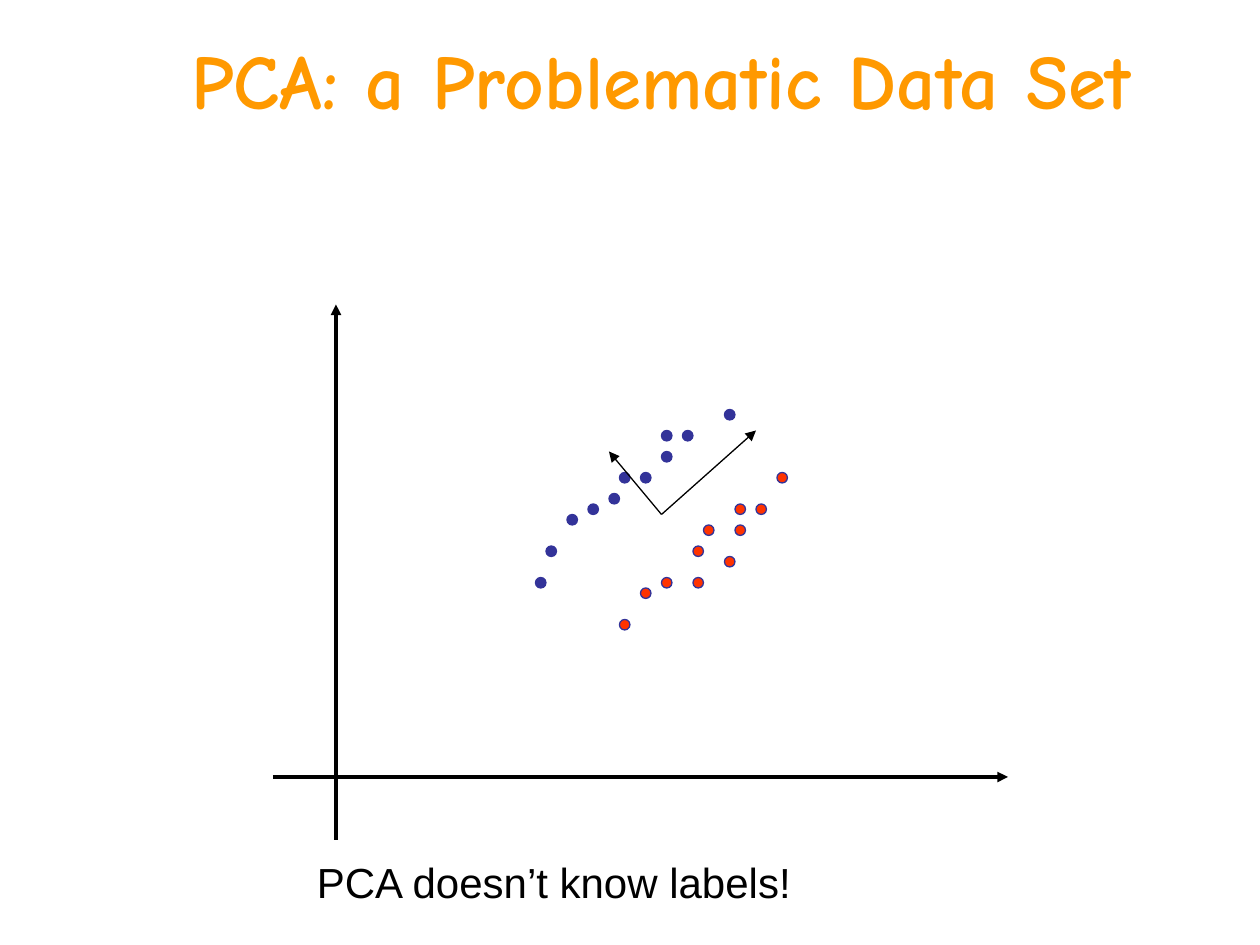
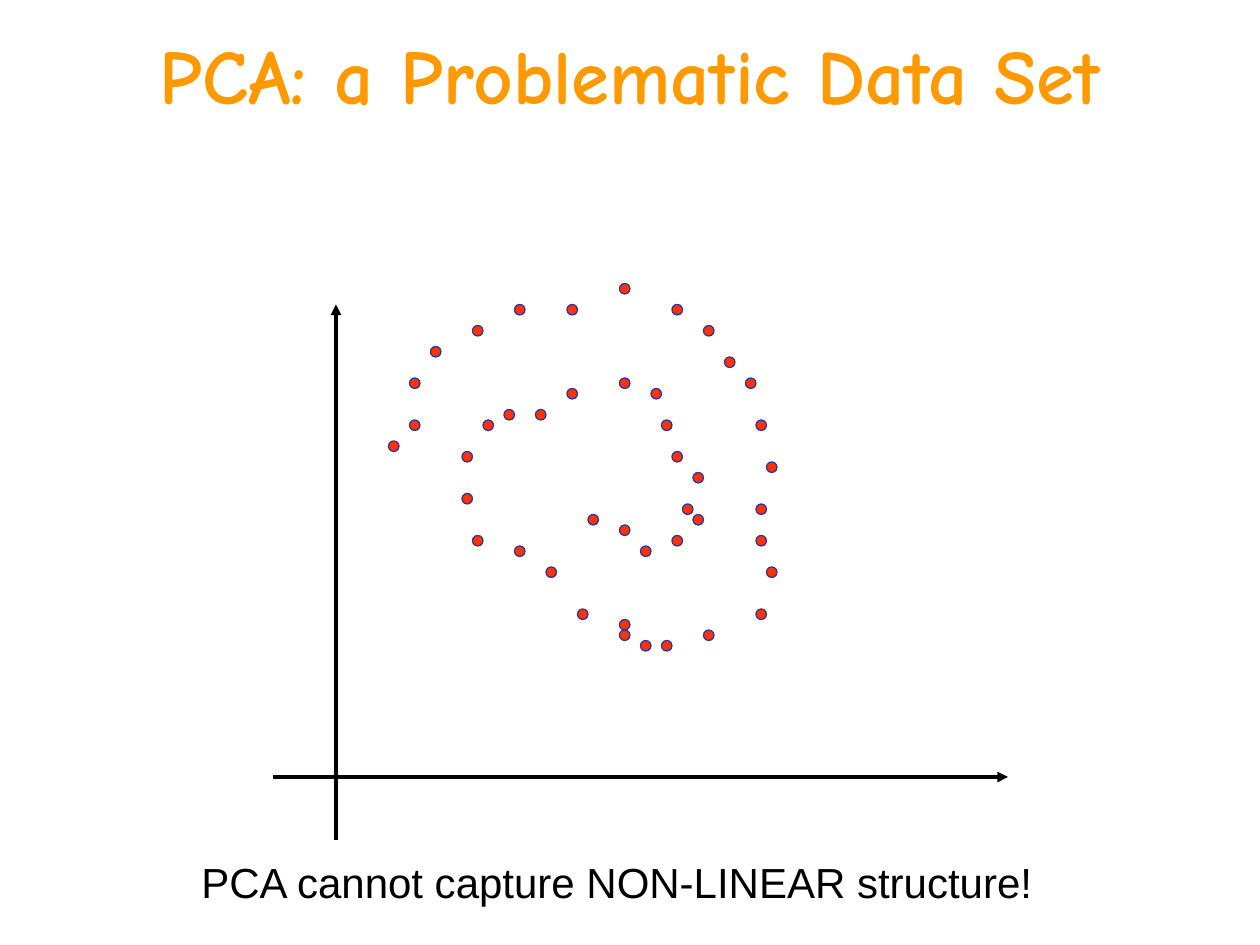
from pptx import Presentation
from pptx.dml.color import RGBColor
from pptx.enum.shapes import MSO_CONNECTOR, MSO_SHAPE
from pptx.enum.text import MSO_ANCHOR, MSO_AUTO_SIZE, PP_ALIGN
from pptx.oxml.ns import qn
from pptx.util import Inches, Pt
from lxml.etree import SubElement

# All positions are (column, row) on a grid of 1/12 inch.
COLS, ROWS = 120, 90
ORANGE, BLUE, RED, BLACK = "FF9900", "333399", "FF3300", "000000"
TITLE_FONT, BODY_FONT = "Comic Neue", "Arial"

AXES = [((32, 80), (32, 29)), ((26, 74), (96, 74))]

BLUE_CLASS = [(51, 55), (52, 52), (54, 49), (56, 48), (58, 47), (59, 45),
              (61, 45), (63, 43), (63, 41), (65, 41), (69, 39)]
RED_CLASS = [(59, 59), (61, 56), (63, 55), (66, 55), (66, 52), (69, 53),
             (67, 50), (70, 50), (70, 48), (72, 48), (74, 45)]
# Listed from the outer end of the spiral to its centre
SPIRAL = [(37, 42), (39, 40), (39, 36), (41, 33), (45, 31), (49, 29),
          (54, 29), (59, 27), (64, 29), (67, 31), (69, 34), (71, 36),
          (72, 40), (73, 44), (72, 48), (72, 51), (73, 54), (72, 58),
          (67, 60), (63, 61), (61, 61), (59, 60), (59, 59), (55, 58),
          (52, 54), (49, 52), (45, 51), (44, 47), (44, 43), (46, 40),
          (48, 39), (51, 39), (54, 37), (59, 36), (62, 37), (63, 40),
          (64, 43), (66, 45), (65, 48), (66, 49), (64, 51), (61, 52),
          (59, 50), (56, 49)]

SLIDES = [
    {"title": "PCA: a Problematic Data Set", "title_box": (9, 2, 108, 11),
     "caption": "PCA doesn’t know labels!", "caption_box": (29, 81, 69, 6),
     "points": [(BLUE, BLUE_CLASS), (RED, RED_CLASS)],
     "components": [((63, 49), (72, 41)), ((63, 49), (58, 43))]},
    {"title": "PCA: a Problematic Data Set", "title_box": (6, 1, 108, 12),
     "caption": "PCA cannot capture NON-LINEAR structure!",
     "caption_box": (18, 81, 90, 6),
     "points": [(RED, SPIRAL)],
     "components": []},
]


def grid(*cells):
    return [Inches(c / 12) for c in cells]


def rgb(color):
    return RGBColor.from_string(color)


def write(tf, text, font, size, color, bold=False):
    tf.word_wrap = True
    tf.text = text
    f = tf.paragraphs[0].runs[0].font
    f.name, f.size, f.bold = font, Pt(size), bold
    f.color.rgb = rgb(color)


def add_title(s, text, box):
    sp = s.shapes.title
    sp.left, sp.top, sp.width, sp.height = grid(*box)
    tf = sp.text_frame
    write(tf, text, TITLE_FONT, 44, ORANGE, bold=True)
    tf.auto_size = MSO_AUTO_SIZE.NONE
    tf.vertical_anchor = MSO_ANCHOR.MIDDLE
    tf.paragraphs[0].alignment = PP_ALIGN.CENTER


def add_caption(s, text, box):
    tf = s.shapes.add_textbox(*grid(*box)).text_frame
    write(tf, text, BODY_FONT, 24, BLACK)
    tf.auto_size = MSO_AUTO_SIZE.SHAPE_TO_FIT_TEXT


def add_arrow(s, start, end, width):
    c = s.shapes.add_connector(MSO_CONNECTOR.STRAIGHT, *grid(*start, *end))
    c.line.color.rgb = rgb(BLACK)
    c.line.width = Pt(width)
    SubElement(c.line._get_or_add_ln(), qn("a:tailEnd"), type="triangle")
    SubElement(c._element.spPr, qn("a:effectLst"))


def add_point(s, position, fill):
    sp = s.shapes.add_shape(MSO_SHAPE.OVAL, *grid(*position, 1, 1))
    sp.shadow.inherit = False
    sp.fill.solid()
    sp.fill.fore_color.rgb = rgb(fill)
    sp.line.color.rgb = rgb(BLUE)
    sp.line.width = Pt(0.75)


def add_scatter_slide(prs, content):
    s = prs.slides.add_slide(prs.slide_layouts[5])
    add_title(s, content["title"], content["title_box"])
    for start, end in AXES:
        add_arrow(s, start, end, 2)
    for fill, positions in content["points"]:
        for position in positions:
            add_point(s, position, fill)
    add_caption(s, content["caption"], content["caption_box"])
    for start, end in content["components"]:
        add_arrow(s, start, end, 0.75)


def main():
    prs = Presentation()
    prs.slide_width, prs.slide_height = grid(COLS, ROWS)
    for content in SLIDES:
        add_scatter_slide(prs, content)
    prs.save("out.pptx")


if __name__ == "__main__":
    main()
